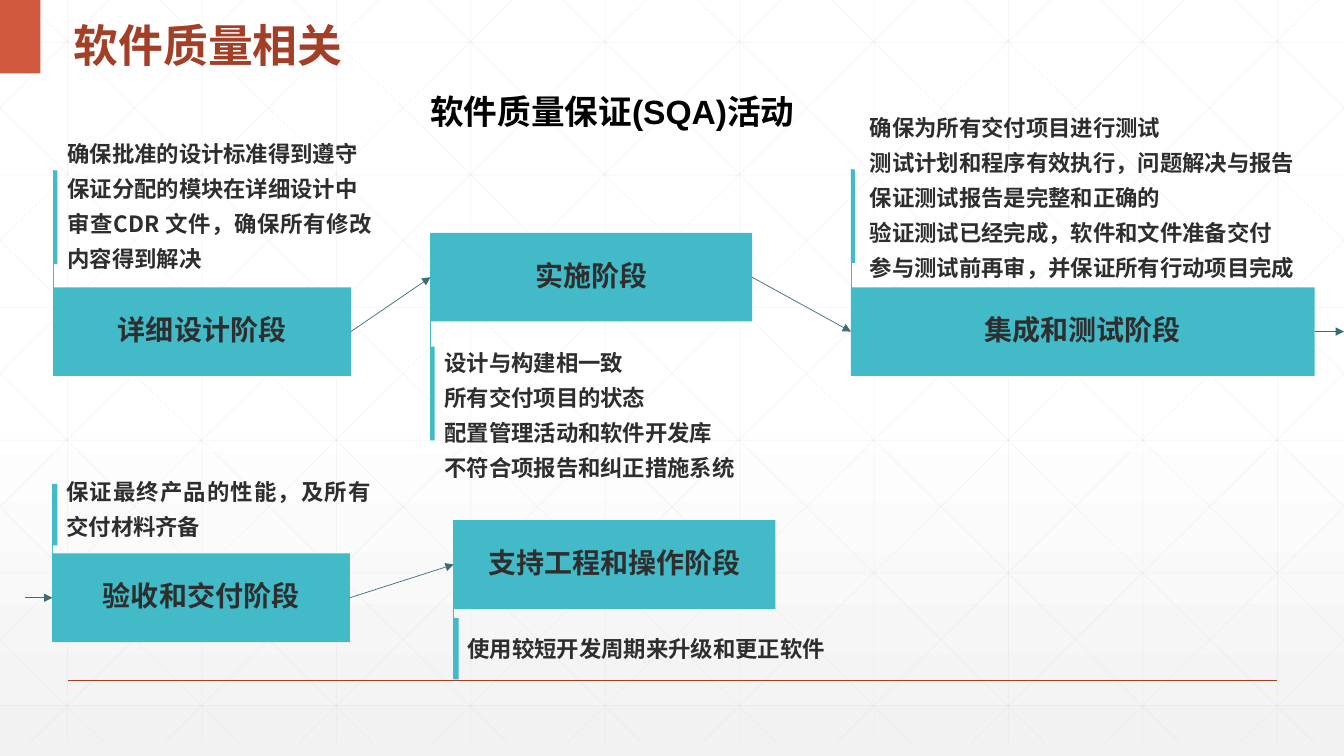
"""Build the slide on software quality assurance activities by project stage."""
from lxml.etree import SubElement
from pptx import Presentation
from pptx.dml.color import RGBColor
from pptx.enum.shapes import MSO_CONNECTOR, MSO_SHAPE
from pptx.enum.text import MSO_ANCHOR, PP_ALIGN
from pptx.oxml.ns import qn
from pptx.util import Inches, Pt

COLORS = {
    "grid": "D9D9D9", "white": "FFFFFF", "pale": "F2F2F2", "rust": "A43F27",
    "tab": "D15A3E", "teal": "42BAC8", "arrow": "3B6D79", "ink": "2D2E2D",
    "black": "000000",
}
CJK = "Noto Sans CJK SC"
WIDTH, GRID_BOTTOM = 13.33, 7.37
BOX_H = 0.88

prs = Presentation()
prs.slide_width, prs.slide_height = Inches(WIDTH), Inches(7.5)
s = prs.slides.add_slide(prs.slide_layouts[5])


def add_line(x1, y1, x2, y2, color, width=0.5):
    c = s.shapes.add_connector(
        MSO_CONNECTOR.STRAIGHT, Inches(x1), Inches(y1), Inches(x2), Inches(y2))
    c.line.color.rgb = RGBColor.from_string(COLORS[color])
    c.line.width = Pt(width)
    SubElement(c._element.spPr, qn("a:effectLst"))
    return c


def format_text(tf, size, color, align, spacing, font=CJK):
    tf.word_wrap = True
    for p in tf.paragraphs:
        p.alignment, p.line_spacing = align, spacing
        for r in p.runs:
            r.font.size, r.font.bold, r.font.name = Pt(size), True, font
            r.font.color.rgb = RGBColor.from_string(COLORS[color])
            SubElement(r.font._element, qn("a:ea"), typeface=CJK)


fill = s.background.fill
fill.gradient()
fill.gradient_angle = 270
for stop, position, color in zip(fill.gradient_stops, (0.53, 1), ("white", "pale")):
    stop.position = position
    stop.color.rgb = RGBColor.from_string(COLORS[color])

pitch, slope = 4 / 3, 1.011
grid = [(x, 0, x, GRID_BOTTOM) for x in (0.67 + pitch * i for i in range(10))]
grid += [(0, y, WIDTH, y) for y in (0.42 + 1.316 * i for i in range(6))]
for i in range(-5, 10):
    x = 0.25 + pitch * i
    left, right = max(x, 0), min(x + GRID_BOTTOM * slope, WIDTH)
    top, bottom = (left - x) / slope, (right - x) / slope
    grid += [(left, top, right, bottom), (WIDTH - left, top, WIDTH - right, bottom)]
for ends in grid:
    c = add_line(*ends, "grid")
    rgb = c.line._ln.find(".//" + qn("a:srgbClr"))
    SubElement(rgb, qn("a:alpha"), val="25000")

add_line(0.67, 6.75, 12.67, 6.75, "rust", 1)
tab = s.shapes.add_shape(MSO_SHAPE.RECTANGLE, 0, 0, Inches(0.4), Inches(0.73))
tab.shadow.inherit = False
tab.fill.solid()
tab.fill.fore_color.rgb = RGBColor.from_string(COLORS["tab"])
tab.line.fill.background()

title = s.shapes.title
title.left, title.top, title.width, title.height = map(Inches, (0.63, 0, 5.69, 0.73))
title.text_frame.text = "软件质量相关"
title.text_frame.vertical_anchor = MSO_ANCHOR.MIDDLE
format_text(title.text_frame, 32, "rust", PP_ALIGN.LEFT, 1.3, "Arial")
s.shapes._spTree.append(title._element)

heading = s.shapes.add_textbox(*map(Inches, (4.17, 0.73, 5.12, 0.81)))
heading.text_frame.text = "软件质量保证(SQA)活动"
format_text(heading.text_frame, 24, "black", PP_ALIGN.LEFT, 1.3, "Arial")

stages = [
    ("详细设计阶段", (0.53, 2.85, 2.95), (1.69, 0.04, 0.93), (0.57, 1.26, 3.22),
     ["确保批准的设计标准得到遵守", "保证分配的模块在详细设计中",
      "审查CDR 文件，确保所有修改内容得到解决"], 4),
    ("实施阶段", (4.27, 2.31, 3.19), (3.44, 0.04, 0.93), (4.31, 3.33, 3.37),
     ["设计与构建相一致", "所有交付项目的状态", "配置管理活动和软件开发库",
      "不符合项报告和纠正措施系统"], 4),
    ("集成和测试阶段", (8.44, 2.85, 4.6), (1.68, 0.04, 0.93), (8.53, 1, 4.58),
     ["确保为所有交付项目进行测试", "测试计划和程序有效执行，问题解决与报告",
      "保证测试报告是完整和正确的", "验证测试已经完成，软件和文件准备交付",
      "参与测试前再审，并保证所有行动项目完成"], 5),
    ("验收和交付阶段", (0.52, 5.49, 2.95), (4.8, 0.05, 0.61), (0.56, 4.61, 3.22),
     ["保证最终产品的性能，及所有交付材料齐备"], 2),
    ("支持工程和操作阶段", (4.5, 5.16, 3.19), (6.13, 0.05, 0.61), (4.54, 6.17, 3.94),
     ["使用较短开发周期来升级和更正软件"], 1),
]
boxes = []
for name, (x, y, w), (bar_y, bar_w, bar_h), note_at, notes, rows in stages:
    add_line(x, min(y, bar_y), x, max(y + BOX_H, bar_y + bar_h), "teal")
    for frame in ((x, bar_y, bar_w, bar_h), (x, y, w, BOX_H)):
        sp = s.shapes.add_shape(MSO_SHAPE.RECTANGLE, *map(Inches, frame))
        sp.shadow.inherit = False
        sp.fill.solid()
        sp.fill.fore_color.rgb = RGBColor.from_string(COLORS["teal"])
        sp.line.fill.background()
    sp.text_frame.text = name
    sp.text_frame.vertical_anchor = MSO_ANCHOR.MIDDLE
    format_text(sp.text_frame, 20, "ink", PP_ALIGN.CENTER, 0.9)
    boxes.append(sp)

    note = s.shapes.add_textbox(*map(Inches, (*note_at, 0.08 + 0.35 * rows)))
    note.text_frame.text = "\n".join(notes)
    format_text(note.text_frame, 16, "ink", PP_ALIGN.JUSTIFY, Pt(25))

design, build, test, delivery, support = boxes
arrows = [
    (design, build, (3.48, 3.29, 4.27, 2.75)),
    (build, test, (7.46, 2.75, 8.44, 3.29)),
    (test, None, (13.04, 3.29, 13.33, 3.29)),
    (None, delivery, (0.25, 5.93, 0.52, 5.93)),
    (delivery, support, (3.47, 5.93, 4.5, 5.6)),
]
for source, target, ends in arrows:
    c = add_line(*ends, "arrow")
    if source:
        c.begin_connect(source, 3)
    if target:
        c.end_connect(target, 1)
    SubElement(c.line._ln, qn("a:tailEnd"), type="triangle")

prs.save("out.pptx")
